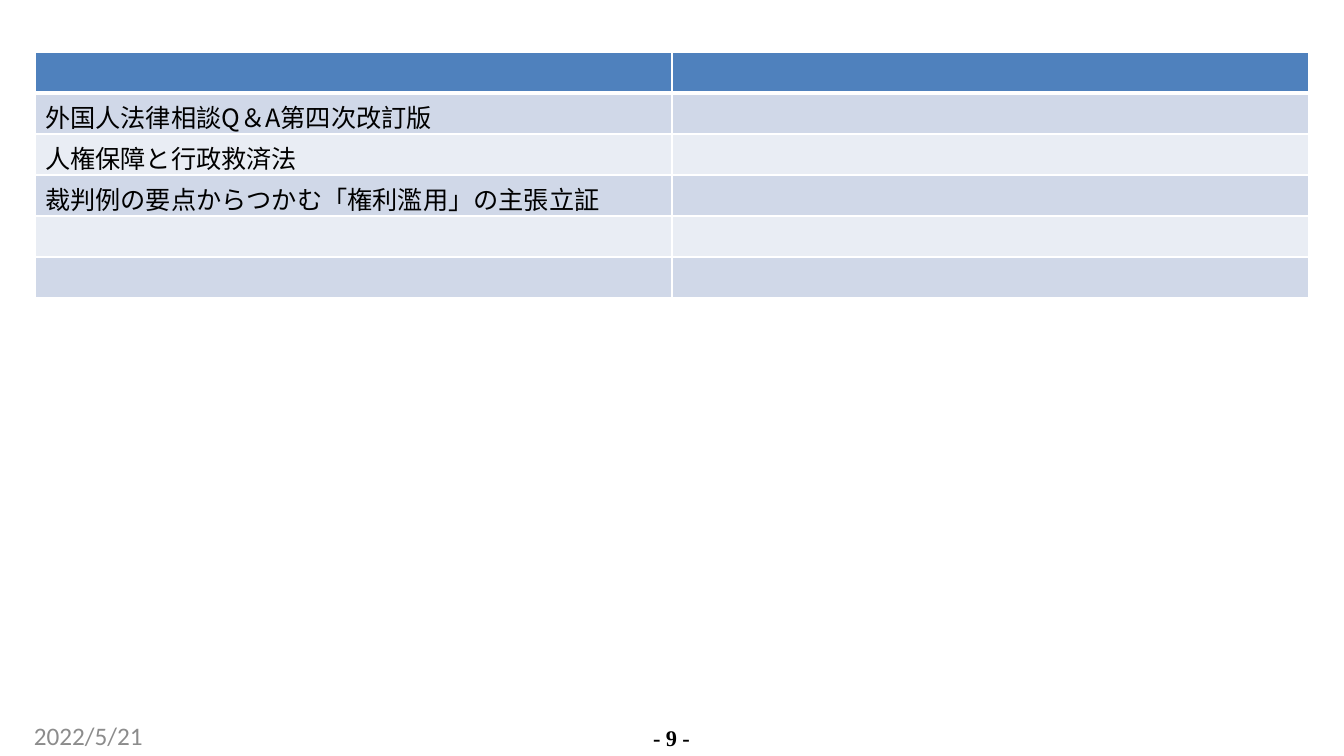
from dataclasses import dataclass

from lxml import etree
from pptx import Presentation
from pptx.dml.color import RGBColor
from pptx.enum.text import PP_ALIGN
from pptx.oxml.ns import qn
from pptx.util import Emu, Pt

LEFT, CENTER = PP_ALIGN.LEFT, PP_ALIGN.CENTER
EMU_PER_PX = 914400 / 100.8
COLORS = {
    "header": "4F81BD",
    "odd": "D0D8E8",
    "even": "E9EDF4",
    "border": "FFFFFF",
    "text": "000000",
    "date": "8C8C8C",
}
JAPANESE_FONT = "Noto Sans CJK JP"
BOOK_TITLES = [
    "外国人法律相談Q＆A第四次改訂版",
    "人権保障と行政救済法",
    "裁判例の要点からつかむ「権利濫用」の主張立証",
]
ROW_COUNT, COLUMN_COUNT = 6, 2
ROW_HEIGHT, COLUMN_WIDTH = 41, 637
TABLE_LEFT, TABLE_TOP = 35, 52


@dataclass(frozen=True)
class Style:
    font: str
    size: int
    color: str
    bold: bool = False
    spacing: int = 0


@dataclass(frozen=True)
class FooterItem:
    text: str
    left: int
    top: int
    width: int
    height: int
    style: Style
    align: PP_ALIGN = LEFT
    line_points: float | None = None


BOOK_STYLE = Style(JAPANESE_FONT, 18, "text")
FOOTER = [
    FooterItem("2022/5/21", 34, 720, 309, 30, Style("Calibri", 18, "date")),
    FooterItem("- 9 -", 628, 725, 87, 25,
               Style("Times New Roman", 16, "text", bold=True, spacing=-10),
               CENTER, 18.4),
]


def px(length: int) -> Emu:
    return Emu(round(length * EMU_PER_PX))


def rgb(name: str) -> RGBColor:
    return RGBColor.from_string(COLORS[name])


def add_span(para, text: str, style: Style) -> None:
    span = para.add_run()
    span.text = text
    font = span.font
    font.name, font.size, font.bold = style.font, Pt(style.size), style.bold
    font.color.rgb = rgb(style.color)
    properties = span._r.get_or_add_rPr()
    etree.SubElement(properties, qn("a:ea"), typeface=style.font)
    if style.spacing:
        properties.set("spc", str(style.spacing))


def add_footer_item(page, item: FooterItem) -> None:
    box = page.shapes.add_textbox(
        px(item.left), px(item.top), px(item.width), px(item.height))
    frame = box.text_frame
    frame.word_wrap = True
    frame.margin_left = frame.margin_right = 0
    frame.margin_top = frame.margin_bottom = 0
    para = frame.paragraphs[0]
    para.alignment = item.align
    if item.line_points:
        para.line_spacing = Pt(item.line_points)
    add_span(para, item.text, item.style)


def set_borders(cell, top: int, bottom: int) -> None:
    """Draw the four cell borders; top and bottom are widths in points."""
    properties = cell._tc.get_or_add_tcPr()
    for side, points in (("L", 1), ("R", 1), ("T", top), ("B", bottom)):
        line = etree.SubElement(properties, qn(f"a:ln{side}"), w=str(Pt(points)))
        fill = etree.SubElement(line, qn("a:solidFill"))
        etree.SubElement(fill, qn("a:srgbClr"), val=COLORS["border"])


def add_book_table(page) -> None:
    table = page.shapes.add_table(
        ROW_COUNT, COLUMN_COUNT, px(TABLE_LEFT), px(TABLE_TOP),
        px(COLUMN_WIDTH * COLUMN_COUNT), px(ROW_HEIGHT * ROW_COUNT)).table
    for column in table.columns:
        column.width = px(COLUMN_WIDTH)
    for index, row in enumerate(table.rows):
        row.height = px(ROW_HEIGHT)
        band = "header" if index == 0 else "odd" if index % 2 else "even"
        for cell in row.cells:
            set_borders(cell, top=3 if index == 1 else 1,
                        bottom=3 if index == 0 else 1)
            cell.fill.solid()
            cell.fill.fore_color.rgb = rgb(band)
    for index, title in enumerate(BOOK_TITLES, start=1):
        add_span(table.cell(index, 0).text_frame.paragraphs[0], title, BOOK_STYLE)


def main() -> None:
    deck = Presentation()
    deck.slide_width, deck.slide_height = px(1344), px(756)
    page = deck.slides.add_slide(deck.slide_layouts.get_by_name("Blank"))
    for item in FOOTER:
        add_footer_item(page, item)
    add_book_table(page)
    deck.save("out.pptx")


if __name__ == "__main__":
    main()
